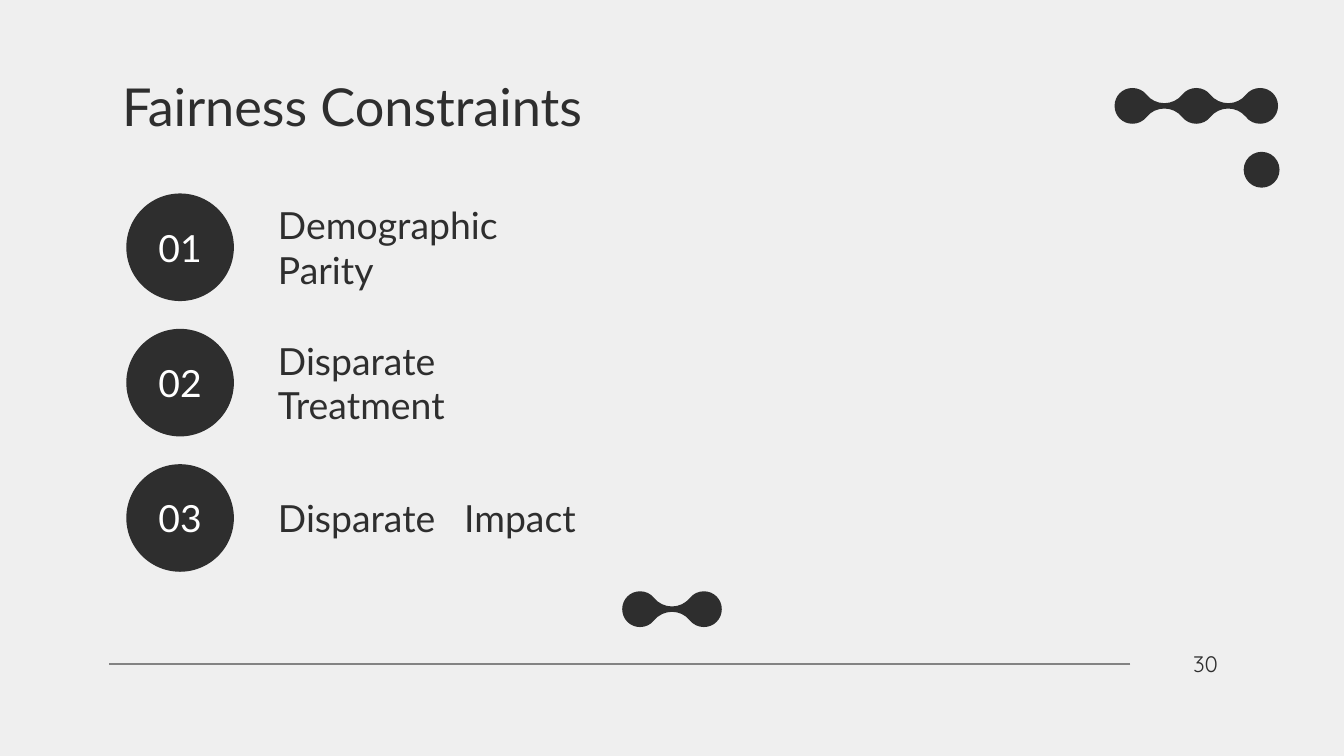
"""Build the slide on fairness constraints, on a grid of 100 square columns."""
from lxml import etree
from pptx import Presentation
from pptx.dml.color import RGBColor
from pptx.enum.shapes import MSO_CONNECTOR, MSO_SHAPE
from pptx.enum.text import MSO_ANCHOR, PP_ALIGN
from pptx.oxml.ns import qn
from pptx.util import Inches, Pt

OVAL = MSO_SHAPE.OVAL
STRAIGHT = MSO_CONNECTOR.STRAIGHT
MIDDLE = MSO_ANCHOR.MIDDLE
LEFT, CENTER = PP_ALIGN.LEFT, PP_ALIGN.CENTER
DARK = "2E2E2E"

deck = Presentation()
deck.slide_width, deck.slide_height = Inches(10), Inches(5.625)
unit = deck.slide_width // 100
slide = deck.slides.add_slide(deck.slide_layouts[6])
shapes = slide.shapes


def paint(fill, color):
    fill.solid()
    fill.fore_color.rgb = RGBColor.from_string(color)


def write(shape, text, size, color=DARK, font="Lato", align=LEFT):
    frame = shape.text_frame
    frame.word_wrap = True
    frame.vertical_anchor = MIDDLE
    frame.margin_left = frame.margin_right = unit
    frame.margin_top = frame.margin_bottom = unit
    para = frame.paragraphs[0]
    para.text = text
    para.alignment = align
    para.font.size, para.font.name = Pt(size), font
    paint(para.font.fill, color)
    return para


paint(slide.background.fill, "EFEFEF")

rule = shapes.add_connector(
    STRAIGHT, *[int(n * unit) for n in (84.1, 49.4, 8.1, 49.4)])
paint(rule.line.fill, "838383")
rule.line.width = Pt(0.75)
etree.SubElement(rule._element.spPr, qn("a:effectLst"))

dot = shapes.add_shape(OVAL, *[int(n * unit) for n in (92.54, 11.3, 2.67, 2.67)])
dot.shadow.inherit = False
paint(dot.fill, DARK)
dot.line.fill.background()

bead, pitch = 1.33, 4.75
cap = [(-bead, 0), (-bead, -0.74), (-0.74, -bead), (0, -bead)]
fall = [(0.41, -bead), (0.8, -1.15), (1.05, -0.83),
        (1.37, -0.43), (1.86, -0.2), (pitch / 2, -0.2)]
climb = [(pitch - x, y) for x, y in fall[-2::-1]] + [(pitch, -bead)]
for left, mid, count in ((82.93, 7.88, 3), (46.3, 45.33, 2)):
    span = (count - 1) * pitch
    edge = cap + [(x + link * pitch, y) for link in range(count - 1)
                  for x, y in fall + climb]
    edge += [(span - x, y) for x, y in cap[-2::-1]]
    edge += [(span - x, -y) for x, y in edge[1:]]
    points = [((left + bead + x) * unit, (mid + y) * unit) for x, y in edge]
    pen = shapes.build_freeform(*points[0])
    pen.add_line_segments(points[1:], close=True)
    chain = pen.convert_to_shape()
    chain.shadow.inherit = False
    paint(chain.fill, DARK)
    chain.line.fill.background()
    legs = list(chain._element.iter(qn("a:lnTo")))
    for first, second, third in zip(legs[::3], legs[1::3], legs[2::3]):
        first.tag = qn("a:cubicBezTo")
        for leg in (second, third):
            first.append(leg[0])
            leg.getparent().remove(leg)

title = shapes.add_textbox(*[int(n * unit) for n in (8.1, 5.75, 71.7, 4.2)])
write(title, "Fairness Constraints", 28)
page = shapes.add_textbox(*[int(n * unit) for n in (87.5, 48.35, 4.4, 2.1)])
write(page, "30", 12, font="Quicksand", align=CENTER)

names = "Demographic Parity", "Disparate Treatment", "Disparate\tImpact"
for row, name in enumerate(names):
    top = 14.45 + row * 10.07
    disc = shapes.add_shape(
        OVAL, *[int(n * unit) for n in (9.45, top, 7.9, 7.9)])
    disc.shadow.inherit = False
    paint(disc.fill, DARK)
    paint(disc.line.fill, DARK)
    disc.line.width = Pt(0.75)
    write(disc, f"{row + 1:02}", 20, "FFFFFF", align=CENTER)
    label = shapes.add_textbox(
        *[int(n * unit) for n in (19.7, top + 0.65, 25.3, 6.6)])
    para = write(label, name, 20)
    if "\t" in name:
        tabs = etree.Element(qn("a:tabLst"))
        etree.SubElement(tabs, qn("a:tab"), pos=str(int(13.85 * unit)), algn="l")
        para._p.get_or_add_pPr().insert(0, tabs)

deck.save("out.pptx")
